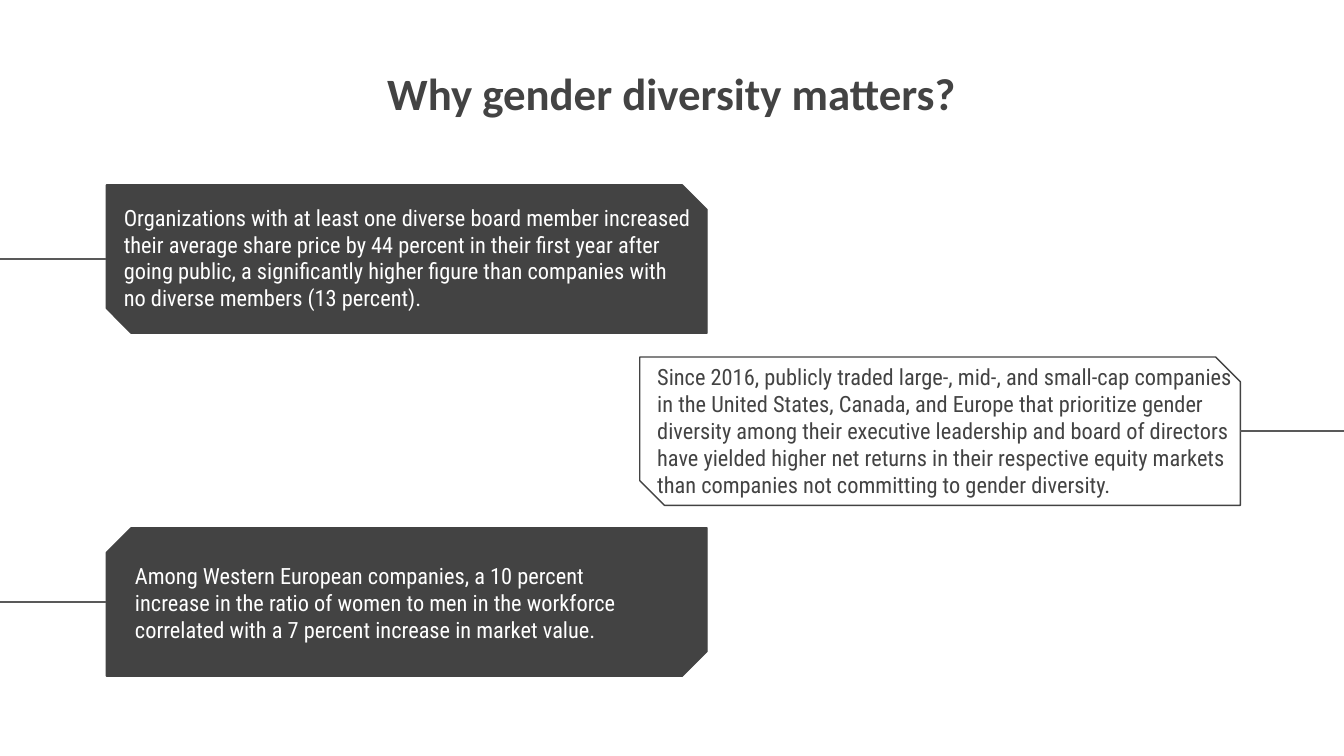
from dataclasses import dataclass

import lxml.etree
import pptx
import pptx.dml.color
import pptx.enum.shapes
import pptx.enum.text
import pptx.oxml.ns
import pptx.util

PX = 9525
SLIDE_WIDTH, SLIDE_HEIGHT = 960, 540
CARD_WIDTH, CARD_HEIGHT = 429, 106
LEFT_CARD, RIGHT_CARD = 76, 457
SNIP = 0.167
DARK, GREY, WHITE = "434343", "595959", "FFFFFF"
SNIP_RISING, SNIP_FALLING = (0, SNIP), (SNIP, 0)


@dataclass
class TextBlock:
    text: str
    left: int
    top: int
    width: int
    height: int
    format: dict
    alignment: pptx.enum.text.PP_ALIGN = pptx.enum.text.PP_ALIGN.LEFT


@dataclass
class Card:
    left: int
    top: int
    snips: tuple
    fill: str | None
    line_end: int
    body: TextBlock


def px(length: int) -> pptx.util.Emu:
    return pptx.util.Emu(length * PX)


def color(value: str) -> pptx.dml.color.RGBColor:
    return pptx.dml.color.RGBColor.from_string(value)


def body_format(text_color: str) -> dict:
    return {"name": "Roboto Condensed", "size": pptx.util.Pt(12), "color": text_color}


def draw_text(slide, block: TextBlock) -> None:
    shape = slide.shapes.add_textbox(
        px(block.left), px(block.top), px(block.width), px(block.height))
    frame = shape.text_frame
    margins = ("margin_left", "margin_top", "margin_right", "margin_bottom")
    settings = {"word_wrap": True, "vertical_anchor": pptx.enum.text.MSO_ANCHOR.TOP}
    settings.update(dict.fromkeys(margins, pptx.util.Inches(0.1)))
    for name, value in settings.items():
        setattr(frame, name, value)
    paragraph = frame.paragraphs[0]
    paragraph.alignment = block.alignment
    run = paragraph.add_run()
    run.text = block.text
    for name, value in block.format.items():
        if name == "color":
            run.font.color.rgb = color(value)
        else:
            setattr(run.font, name, value)


def draw_line(slide, start: int, end: int, y: int) -> None:
    connector = slide.shapes.add_connector(
        pptx.enum.shapes.MSO_CONNECTOR.STRAIGHT, px(start), px(y), px(end), px(y))
    connector.line.color.rgb = color(GREY)
    connector.line.width = pptx.util.Pt(0.75)
    properties = connector._element.spPr
    lxml.etree.SubElement(properties, pptx.oxml.ns.qn("a:effectLst"))


def draw_card(slide, card: Card) -> None:
    shape = slide.shapes.add_shape(
        pptx.enum.shapes.MSO_SHAPE.SNIP_2_DIAG_RECTANGLE,
        px(card.left), px(card.top), px(CARD_WIDTH), px(CARD_HEIGHT))
    shape.shadow.inherit = False
    for index, snip in enumerate(card.snips):
        shape.adjustments[index] = snip
    if card.fill:
        shape.fill.solid()
        shape.fill.fore_color.rgb = color(card.fill)
    else:
        shape.fill.background()
    shape.line.color.rgb = color(DARK)
    shape.line.width = pptx.util.Pt(0.75)
    line_start = card.left if card.line_end < card.left else card.left + CARD_WIDTH
    draw_line(slide, line_start, card.line_end, card.top + CARD_HEIGHT // 2)
    draw_text(slide, card.body)


TITLE = TextBlock(
    "Why gender diversity matters?", 206, 37, 547, 99,
    {"name": "Calibri", "size": pptx.util.Pt(24), "bold": True, "color": DARK},
    pptx.enum.text.PP_ALIGN.CENTER)

CARDS = [
    Card(LEFT_CARD, 132, SNIP_RISING, DARK, 0, TextBlock(
        "Organizations with at least one diverse board member increased their average "
        "share price by 44 percent in their first year after going public, a "
        "significantly higher figure than companies with no diverse members "
        "(13 percent).",
        79, 136, 426, 60, body_format(WHITE))),
    Card(RIGHT_CARD, 255, SNIP_RISING, None, SLIDE_WIDTH, TextBlock(
        "Since 2016, publicly traded large-, mid-, and small-cap companies in the "
        "United States, Canada, and Europe that prioritize gender diversity among "
        "their executive leadership and board of directors have yielded higher net "
        "returns in their respective equity markets than companies not committing "
        "to gender diversity.",
        460, 250, 444, 60, body_format(DARK))),
    Card(LEFT_CARD, 377, SNIP_FALLING, DARK, 0, TextBlock(
        "Among Western European companies, a 10 percent increase in the ratio of "
        "women to men in the workforce correlated with a 7 percent increase in "
        "market value.",
        87, 392, 367, 60, body_format(WHITE))),
]


def main() -> None:
    presentation = pptx.Presentation()
    presentation.slide_width = px(SLIDE_WIDTH)
    presentation.slide_height = px(SLIDE_HEIGHT)
    slide = presentation.slides.add_slide(presentation.slide_layouts[6])
    draw_text(slide, TITLE)
    for card in CARDS:
        draw_card(slide, card)
    presentation.save("out.pptx")


if __name__ == "__main__":
    main()
